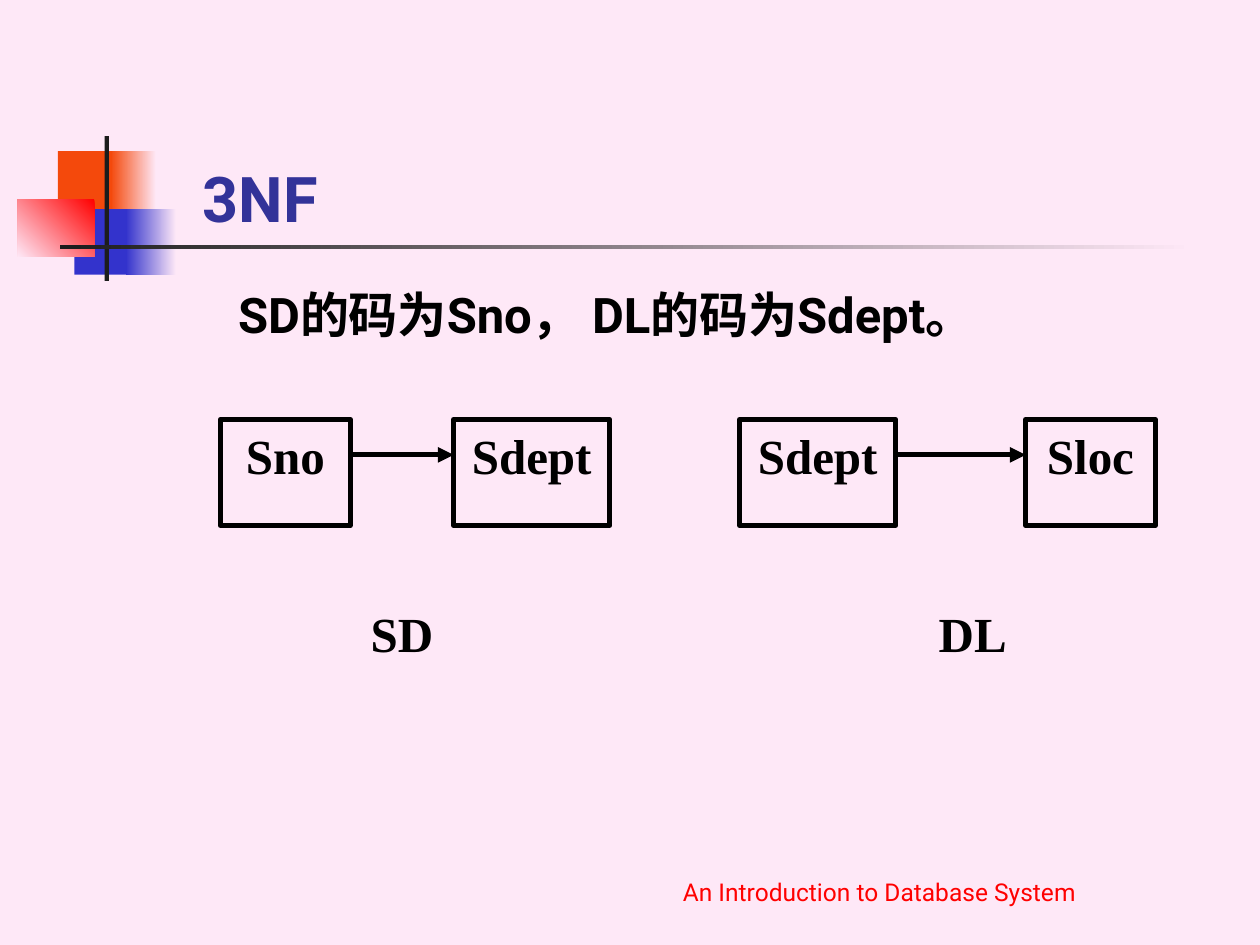
from pptx import Presentation, util as u
from pptx.dml.color import RGBColor
from pptx.enum import shapes, text
from pptx.oxml.ns import qn
from lxml import etree

PINK = RGBColor(0xFE, 0xE8, 0xF7)
ORANGE = RGBColor(0xF4, 0x49, 0x0C)
BLUE = RGBColor(0x33, 0x33, 0xCC)
NAVY = RGBColor(0x33, 0x33, 0x99)
RED = RGBColor(0xFF, 0, 0)
DARK = RGBColor(0x1C, 0x1C, 0x1C)
BLACK = RGBColor(0, 0, 0)
SANS, SERIF = "Roboto", "Times New Roman"
LEFT, MID = text.PP_ALIGN.LEFT, text.PP_ALIGN.CENTER
TOP, LOW = text.MSO_ANCHOR.TOP, text.MSO_ANCHOR.BOTTOM


class Board:
    """Style and current slide; lengths are cells of a 100 by 75 grid."""

    def __init__(self, deck):
        self.cell = deck.slide_width / 100
        self.slide = deck.slides.add_slide(deck.slide_layouts[5])
        back = self.slide.background.fill
        back.solid()
        back.fore_color.rgb = PINK

    def grid(self, *cells):
        return [u.Emu(round(c * self.cell)) for c in cells]

    def letter(self, shape, words, size, color, font=SERIF, bold=True,
               align=MID, anchor=TOP, inset=1):
        frame = shape.text_frame
        frame.text = words
        frame.word_wrap = True
        frame.auto_size = text.MSO_AUTO_SIZE.NONE
        frame.vertical_anchor = anchor
        frame.margin_left = self.grid(inset)[0]
        para = frame.paragraphs[0]
        para.alignment = align
        face = para.runs[0].font
        face.name, face.size, face.bold = font, u.Pt(size), bold
        face.color.rgb = color
        return para

    def title(self, area, words, **style):
        shape = self.slide.shapes.title
        shape.left, shape.top, shape.width, shape.height = self.grid(*area)
        return self.letter(shape, words, 36, NAVY, **style)

    def label(self, area, words, size=28, color=BLACK, **style):
        shape = self.slide.shapes.add_textbox(*self.grid(*area))
        return self.letter(shape, words, size, color, **style)

    def rect(self, area):
        shape = self.slide.shapes.add_shape(
            shapes.MSO_SHAPE.RECTANGLE, *self.grid(*area))
        shape.shadow.inherit = False
        return shape

    def block(self, area, color, end=None, angle=180):
        shape = self.rect(area)
        shape.line.fill.background()
        if end is None:
            shape.fill.solid()
            shape.fill.fore_color.rgb = color
            return
        shape.fill.gradient()
        shape.fill.gradient_angle = angle
        for stop, tone in zip(shape.fill.gradient_stops, (color, end)):
            stop.color.rgb = tone

    def box(self, area, words):
        shape = self.rect(area)
        shape.fill.background()
        shape.line.color.rgb = BLACK
        shape.line.width = u.Pt(3)
        self.letter(shape, words, 28, BLACK)

    def arrow(self, start, end, row):
        link = self.slide.shapes.add_connector(
            shapes.MSO_CONNECTOR.STRAIGHT, *self.grid(start, row, end, row))
        link.line.color.rgb = BLACK
        link.line.width = u.Pt(3)
        props = link.element.spPr
        tip = etree.SubElement(props.find(qn("a:ln")), qn("a:tailEnd"))
        tip.set("type", "triangle")
        etree.SubElement(props, qn("a:effectLst"))


def main():
    deck = Presentation()
    deck.slide_width, deck.slide_height = u.Inches(10), u.Inches(7.5)
    board = Board(deck)

    # Corner ornament and title rule
    board.block((4.6, 12, 4.8, 5.2), ORANGE)
    board.block((8.8, 12, 3.6, 5.2), PINK, ORANGE)
    board.block((5.9, 16.6, 4.6, 5.2), BLUE)
    board.block((10, 16.6, 4, 5.2), PINK, BLUE)
    board.block((1.4, 15.8, 6.1, 4.6), RED, PINK, angle=225)
    board.block((8.3, 10.8, 0.35, 11.5), DARK)
    board.block((4.8, 19.45, 90, 0.35), PINK, DARK)

    # Title and statement
    board.title((12.6, 6.7, 85.2, 12.5), "3NF", font=SANS,
                align=LEFT, anchor=LOW, inset=3.5)
    para = board.label((12.9, 22.1, 85, 45), "SD的码为Sno， DL的码为Sdept。",
                       font=SANS, align=LEFT, inset=6)
    para.space_before = u.Pt(7)

    # Dependency diagrams: left box, gap, right box, caption
    top, high = 33.3, 8.4
    for left, wide, gap, last, names, mark in (
            (17.5, 10.3, 8.2, 12.4, ("Sno", "Sdept"), (27.8, "SD")),
            (58.7, 12.4, 10.3, 10.3, ("Sdept", "Sloc"), (73.1, "DL"))):
        start, end = left + wide, left + wide + gap
        board.box((left, top, wide, high), names[0])
        board.box((end, top, last, high), names[1])
        board.arrow(start, end, top + high / 3)
        board.label((mark[0], 47.4, 8.2, high), mark[1])

    # Footer
    board.label((43.7, 67.4, 52.2, 5), "An Introduction to Database System",
                14, RED, font=SANS, bold=False, anchor=LOW)

    deck.save("out.pptx")


if __name__ == "__main__":
    main()
